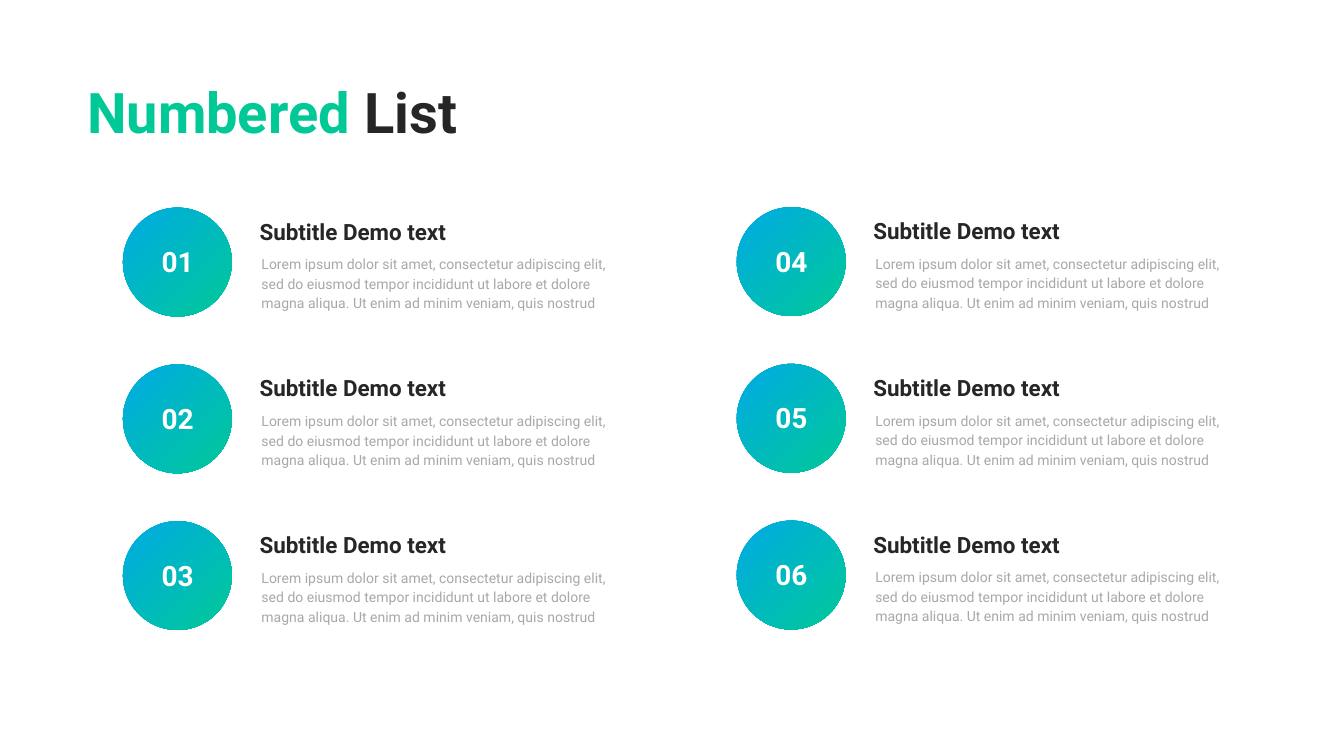
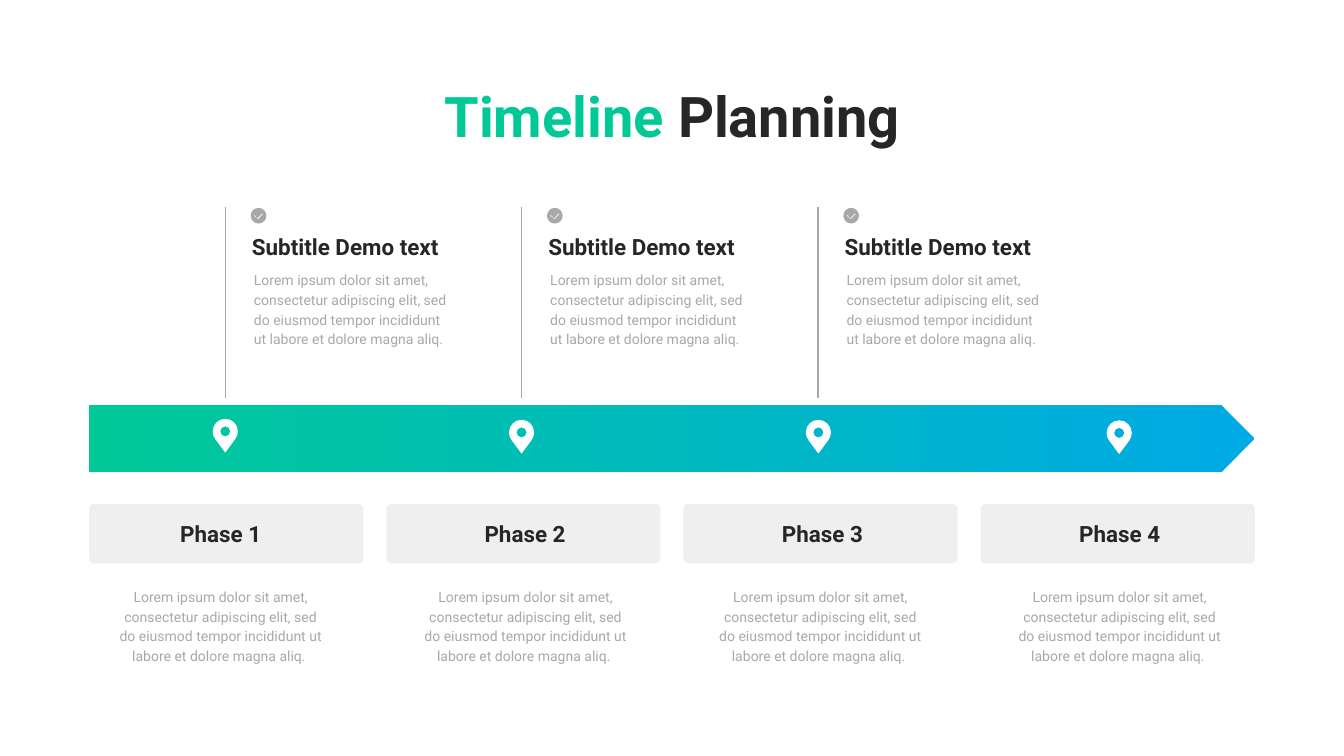
from math import acos, cos, pi, sin, tan

from lxml import etree
from pptx import Presentation
from pptx.dml.color import RGBColor
from pptx.enum.shapes import MSO_CONNECTOR, MSO_SHAPE
from pptx.enum.text import MSO_ANCHOR, MSO_AUTO_SIZE, PP_ALIGN
from pptx.oxml.ns import qn
from pptx.util import Inches, Pt

GREEN = RGBColor(0x00, 0xC9, 0x97)
BLUE = RGBColor(0x00, 0xAA, 0xE5)
DARK = RGBColor(0x25, 0x26, 0x25)
GRAY = RGBColor(0xA7, 0xA8, 0xA7)
PALE = RGBColor(0xC7, 0xC8, 0xC7)
WHITE = RGBColor(0xFF, 0xFF, 0xFF)
NUMBER_WHITE = RGBColor(0xFE, 0xFF, 0xFE)

OVAL, ROUNDED, ARROW = MSO_SHAPE.OVAL, MSO_SHAPE.ROUNDED_RECTANGLE, MSO_SHAPE.PENTAGON
STRAIGHT = MSO_CONNECTOR.STRAIGHT
LEFT, CENTER = PP_ALIGN.LEFT, PP_ALIGN.CENTER
TOP, MIDDLE = MSO_ANCHOR.TOP, MSO_ANCHOR.MIDDLE
GROW = MSO_AUTO_SIZE.SHAPE_TO_FIT_TEXT

FONT = "Roboto"
SLIDE_WIDTH, SLIDE_HEIGHT = 26.67, 15
SUBTITLE = "Subtitle Demo text"
MILESTONE_TEXT = ("Lorem ipsum dolor sit amet, consectetur adipiscing elit, sed do "
                  "eiusmod tempor incididunt ut labore et dolore magna aliq.")
PHASE_TEXT = MILESTONE_TEXT + " "
LIST_TEXT = ("Lorem ipsum dolor sit amet, consectetur adipiscing elit, sed do "
             "eiusmod tempor incididunt ut labore et dolore magna aliqua. "
             "Ut enim ad minim veniam, quis nostrud")

LIST_COLUMNS = ((2.44, 4.12), (14.62, 4.11))
LIST_ROWS, LIST_ROW_PITCH, CIRCLE_SIZE = 3, 3.11, 2.16

BAND_LEFT, BAND_WIDTH = 1.77, 23.13
PHASE_WIDTH = 5.44
PHASE_PITCH = (BAND_WIDTH - PHASE_WIDTH) / 3
PHASE_LABEL_LEFTS = (2.13, 8.17, 14.07, 19.97)
PHASE_BODY_LEFTS = (2.21, 8.26, 14.11, 20.05)
PIN_CENTERS = ((4.47, 8.56), (10.35, 8.58), (16.24, 8.58), (22.21, 8.59))
PIN_RADIUS, PIN_HOLE_RADIUS, PIN_TIP = 0.25, 0.1, 0.42
PIN_TANGENT = acos(PIN_RADIUS / PIN_TIP)
PIN_ANGLES = (pi / 2 + PIN_TANGENT, pi, 3 * pi / 2, 2 * pi, 5 * pi / 2 - PIN_TANGENT)
QUARTERS = tuple(quarter * pi / 2 for quarter in range(5))
MILESTONES, MILESTONE_LEFT, MILESTONE_PITCH = 3, 4.47, 5.88
TICK_DIAMETER = 0.31
TICK = [(-0.01, 0.07), (0.09, -0.03), (0.08, -0.05),
        (-0.02, 0.05), (-0.08, -0.02), (-0.09, 0)]


def add_text(shapes, box, parts, size, bold=False, align=LEFT, anchor=TOP,
             inset=0.06, line_spacing=None):
    """Add a one-paragraph text box from (text, colour) parts."""
    shape = shapes.add_textbox(*map(Inches, box))
    frame = shape.text_frame
    frame.word_wrap = True
    frame.auto_size = GROW
    frame.vertical_anchor = anchor
    if inset is not None:
        frame.margin_left = frame.margin_right = Inches(inset)
        frame.margin_top = frame.margin_bottom = Inches(inset)
    paragraph = frame.paragraphs[0]
    paragraph.alignment = align
    if line_spacing:
        paragraph.line_spacing = Pt(line_spacing)
    font = paragraph.font
    font.name, font.size, font.bold = FONT, Pt(size), bold
    for text, color in parts:
        run = paragraph.add_run()
        run.text = text
        run.font.color.rgb = color


def add_title(slide, box, highlight, rest, align=LEFT):
    """Add the two-colour slide title."""
    add_text(slide.shapes, box, [(highlight, GREEN), (rest, DARK)], 80, True, align)


def add_subtitle(shapes, left, top, width, text, align=LEFT):
    """Add a bold dark heading."""
    add_text(shapes, (left, top, width, 0.65), [(text, DARK)], 32, True, align, MIDDLE)


def add_body(shapes, left, top, width, height, text, align=LEFT):
    """Add a gray body text."""
    add_text(shapes, (left, top, width, height), [(text, GRAY)], 20,
             align=align, inset=None, line_spacing=28)


def add_plain_shape(shapes, kind, box):
    """Add a preset shape without line or shadow."""
    shape = shapes.add_shape(kind, *map(Inches, box))
    shape.shadow.inherit = False
    shape.line.fill.background()
    return shape


def add_gradient_shape(shapes, kind, box, angle):
    """Add a shape filled from blue to green."""
    fill = add_plain_shape(shapes, kind, box).fill
    fill.gradient()
    fill.gradient_angle = angle
    for stop, position, color in zip(fill.gradient_stops, (0, 1), (BLUE, GREEN)):
        stop.position = position
        stop.color.rgb = color


def arc(radius, angles):
    """Return the start point and Bezier segments of an arc through the angles."""
    segments = [(radius * cos(angles[0]), radius * sin(angles[0]))]
    for start, end in zip(angles, angles[1:]):
        pull = 4 / 3 * tan((end - start) / 4)
        segments.append((radius * (cos(start) - pull * sin(start)),
                         radius * (sin(start) + pull * cos(start)),
                         radius * (cos(end) + pull * sin(end)),
                         radius * (sin(end) - pull * cos(end)),
                         radius * cos(end), radius * sin(end)))
    return segments


def bend_lines(shape, segments):
    """Turn the lines that have control points into Bezier curves."""
    lines = list(shape.element.iter(qn("a:lnTo")))
    for line, segment in zip(lines, segments):
        if len(segment) == 2:
            continue
        line.tag = qn("a:cubicBezTo")
        for index in (0, 1):
            x, y = segment[2 * index:2 * index + 2]
            point = etree.Element(qn("a:pt"), x=str(Inches(x) - shape.left),
                                  y=str(Inches(y) - shape.top))
            line.insert(index, point)


def add_icon(shapes, center, outlines, color):
    """Add a freeform of closed outlines around a centre."""
    placed = [[tuple(value + center[index % 2] for index, value in enumerate(segment))
               for segment in outline] for outline in outlines]
    ends = [[tuple(map(Inches, segment[-2:])) for segment in outline] for outline in placed]
    builder = shapes.build_freeform(*ends[0][0])
    builder.add_line_segments(ends[0][1:])
    for outline in ends[1:]:
        builder.move_to(*outline[0])
        builder.add_line_segments(outline[1:])
    shape = builder.convert_to_shape()
    bend_lines(shape, [segment for outline in placed for segment in outline[1:]])
    shape.shadow.inherit = False
    shape.fill.solid()
    shape.fill.fore_color.rgb = color
    shape.line.fill.background()


def add_pin(shapes, center):
    """Add a white map pin with a round hole."""
    head = arc(PIN_RADIUS, PIN_ANGLES) + [(0, PIN_TIP)]
    hole = arc(PIN_HOLE_RADIUS, QUARTERS[::-1])
    add_icon(shapes, center, [head, hole], WHITE)


def add_list_item(slide, left, top, number):
    """Add a numbered circle with its heading and text."""
    shapes = slide.shapes.add_group_shape().shapes
    add_gradient_shape(shapes, OVAL, (left, top, CIRCLE_SIZE, CIRCLE_SIZE), 315)
    add_subtitle(shapes, left + 2.65, top + 0.14, 5.44, SUBTITLE)
    add_body(shapes, left + 2.65, top + 0.85, 7.52, 1.25, LIST_TEXT)
    add_text(shapes, (left + 0.46, top + 0.67, 1.25, 0.79),
             [(f"{number:02}", NUMBER_WHITE)], 40, True, CENTER, MIDDLE)


def add_phase(slide, index):
    """Add a phase label on its pale card with the text below."""
    shapes = slide.shapes
    card = add_plain_shape(shapes, ROUNDED, (BAND_LEFT + index * PHASE_PITCH, 10,
                                             PHASE_WIDTH, 1.18))
    card.adjustments[0] = 0.08
    card.fill.solid()
    card.fill.fore_color.rgb = PALE
    color = next(card.element.iter(qn("a:srgbClr")))
    etree.SubElement(color, qn("a:alpha"), val="28000")
    add_subtitle(shapes, PHASE_LABEL_LEFTS[index], 10.26, 4.5, f"Phase {index + 1}", CENTER)
    add_body(shapes, PHASE_BODY_LEFTS[index], 11.57, 4.34, 1.64, PHASE_TEXT, CENTER)


def add_milestone(slide, left):
    """Add a vertical line with tick icon, heading and text beside it."""
    shapes = slide.shapes.add_group_shape().shapes
    add_subtitle(shapes, left + 0.47, 4.57, 5.44, SUBTITLE)
    add_body(shapes, left + 0.47, 5.29, 4.09, 1.64, MILESTONE_TEXT)
    line = shapes.add_connector(STRAIGHT, *map(Inches, (left, 7.9, left, 4.1)))
    line.line.color.rgb = GRAY
    line.line.width = Pt(2)
    etree.SubElement(line.element.spPr, qn("a:effectLst"))
    add_icon(shapes, (left + 0.66, 4.28), [arc(TICK_DIAMETER / 2, QUARTERS), TICK], GRAY)


def build_numbered_list(slide):
    """Build the list of six numbered items."""
    add_title(slide, (1.67, 1.48, 10.37, 1.46), "Numbered", " List")
    for column, (left, top) in enumerate(LIST_COLUMNS):
        for row in range(LIST_ROWS):
            add_list_item(slide, left, top + row * LIST_ROW_PITCH,
                          column * LIST_ROWS + row + 1)


def build_timeline(slide):
    """Build the timeline with four phases."""
    add_gradient_shape(slide.shapes, ARROW, (BAND_LEFT, 8.04, BAND_WIDTH, 1.33), 180)
    add_title(slide, (7.05, 1.56, 12.58, 1.46), "Timeline", " Planning", CENTER)
    for index, center in enumerate(PIN_CENTERS):
        add_phase(slide, index)
        add_pin(slide.shapes, center)
    for index in range(MILESTONES):
        add_milestone(slide, MILESTONE_LEFT + index * MILESTONE_PITCH)


def main():
    """Create and save the presentation."""
    presentation = Presentation()
    presentation.slide_width = Inches(SLIDE_WIDTH)
    presentation.slide_height = Inches(SLIDE_HEIGHT)
    blank = presentation.slide_layouts[6]
    for build in (build_numbered_list, build_timeline):
        build(presentation.slides.add_slide(blank))
    presentation.save("out.pptx")


if __name__ == "__main__":
    main()
